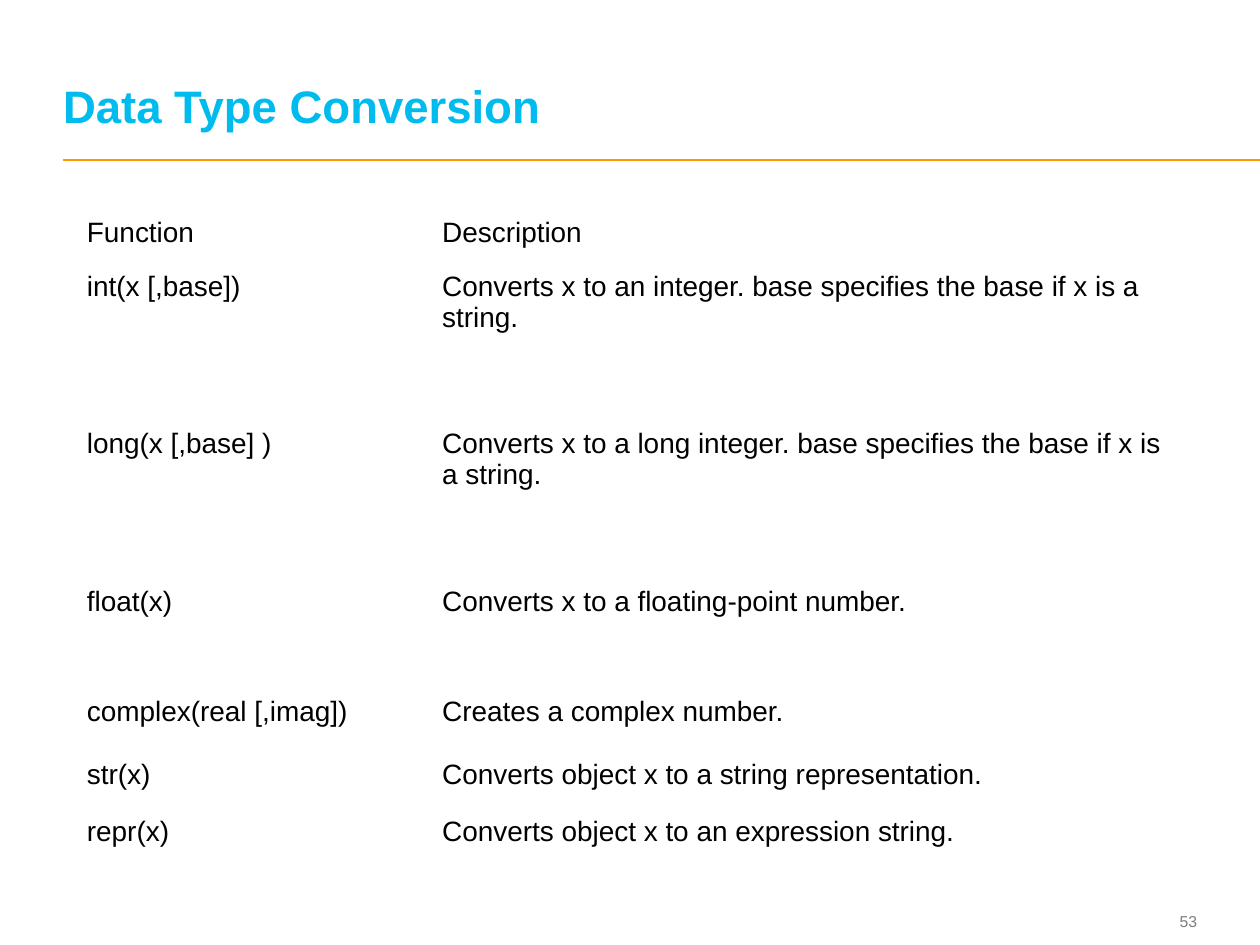
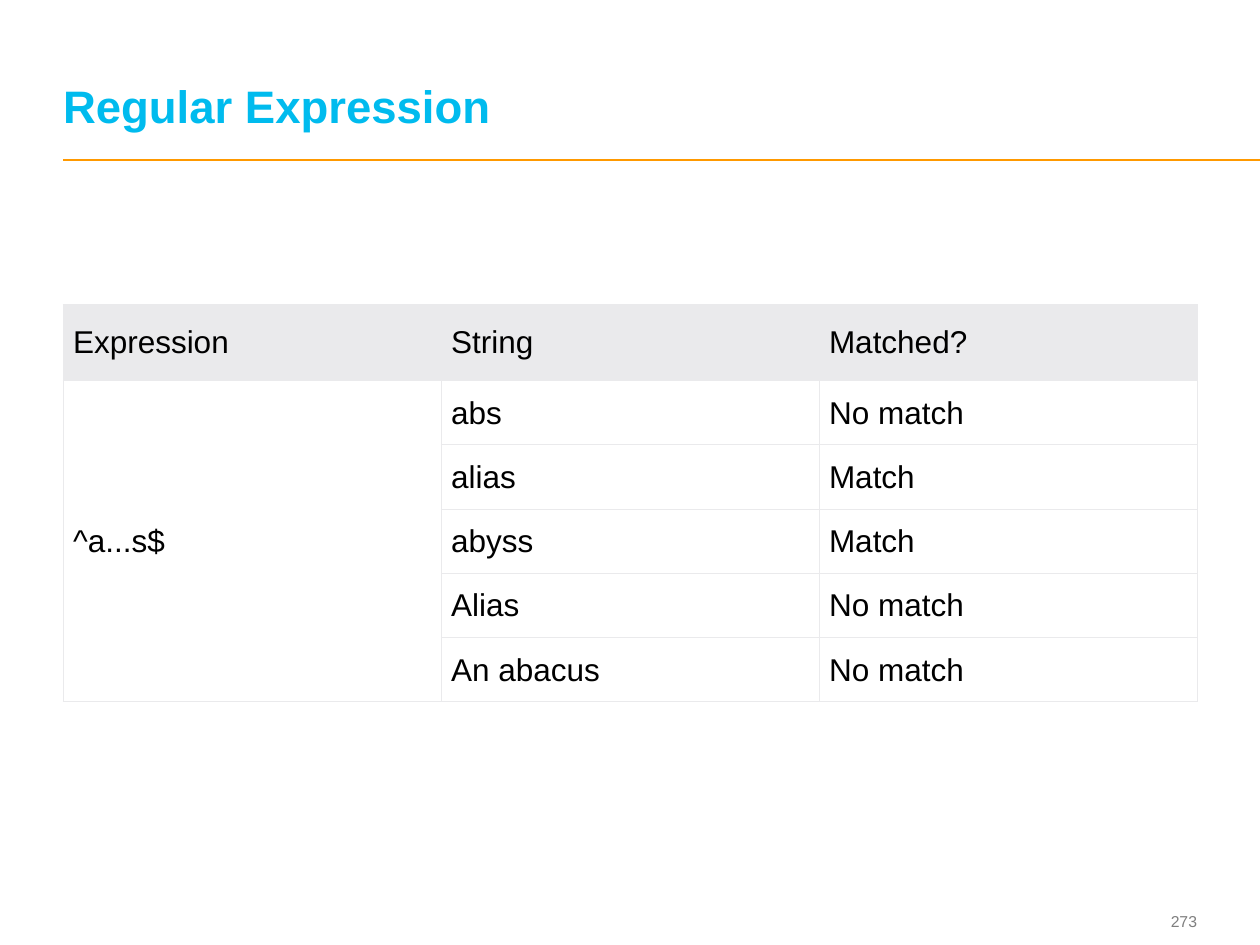
from lxml import etree
from pptx import Presentation
from pptx.dml.color import RGBColor
from pptx.enum.shapes import MSO_CONNECTOR
from pptx.enum.text import MSO_ANCHOR, MSO_AUTO_SIZE, PP_ALIGN
from pptx.oxml import parse_xml
from pptx.oxml.ns import nsdecls, qn
from pptx.util import Inches, Pt

FONT = "Arial"
TITLE_BLUE = "00BBEE"
RULE_ORANGE = "FF9900"
NUMBER_GREY = "7F7F7F"
TABLE_GREY = "EAEAEC"
WHITE = "FFFFFF"
BLACK = "000000"
BORDER_WIDTH = Pt(0.6)


def style_text(text_frame, size, color, margins, anchor, bold=False, align=PP_ALIGN.LEFT):
    text_frame.margin_left, text_frame.margin_top, text_frame.margin_right, text_frame.margin_bottom = (
        Inches(margin) for margin in margins)
    text_frame.vertical_anchor = anchor
    for paragraph in text_frame.paragraphs:
        paragraph.alignment = align
        for run in paragraph.runs:
            run.font.name = FONT
            run.font.size = Pt(size)
            run.font.bold = bold
            run.font.color.rgb = RGBColor.from_string(color)


def add_plain_table(slide, left, top, column_widths, row_heights):
    frame = slide.shapes.add_table(
        len(row_heights), len(column_widths), Inches(left), Inches(top),
        Inches(sum(column_widths)), Inches(sum(row_heights)))
    table = frame.table
    table.first_row = False
    table.horz_banding = False
    for column, width in zip(table.columns, column_widths):
        column.width = Inches(width)
    for row, height in zip(table.rows, row_heights):
        row.height = Inches(height)
    return table


presentation = Presentation()
presentation.slide_width = Inches(10)
presentation.slide_height = Inches(7.5)
title_only = presentation.slide_layouts[5]

# Shared title, rule and slide number
slides = []
for title_text, number in [("Data Type Conversion", "53"), ("Regular Expression", "273")]:
    slide = presentation.slides.add_slide(title_only)
    slides.append(slide)

    rule = slide.shapes.add_connector(
        MSO_CONNECTOR.STRAIGHT, Inches(0.5), Inches(1.27), Inches(10), Inches(1.27))
    rule.line.color.rgb = RGBColor.from_string(RULE_ORANGE)
    rule.line.width = Pt(1)
    etree.SubElement(rule._element.spPr, qn("a:effectLst"))

    number_box = slide.shapes.add_textbox(Inches(8.91), Inches(7.18), Inches(0.59), Inches(0.27))
    number_box.text_frame.word_wrap = True
    number_box.text_frame.text = number
    style_text(number_box.text_frame, 9, NUMBER_GREY, (0, 0, 0, 0), MSO_ANCHOR.MIDDLE,
               align=PP_ALIGN.RIGHT)

    title = slide.shapes.title
    title.left, title.top = Inches(0.5), Inches(0.19)
    title.width, title.height = Inches(8.97), Inches(0.86)
    title.text_frame.text = title_text
    title.text_frame.auto_size = MSO_AUTO_SIZE.NONE
    title.text_frame.paragraphs[0].line_spacing = Pt(26)
    style_text(title.text_frame, 26, TITLE_BLUE, (0, 0, 0, 0), MSO_ANCHOR.BOTTOM, bold=True)

conversion_slide, expression_slide = slides

# Conversion functions
conversions = [
    ("Function", "Description"),
    ("int(x [,base])", "Converts x to an integer. base specifies the base if x is a string."),
    ("long(x [,base] )", "Converts x to a long integer. base specifies the base if x is a string."),
    ("float(x)", "Converts x to a floating-point number."),
    ("complex(real [,imag])", "Creates a complex number."),
    ("str(x)", "Converts object x to a string representation."),
    ("repr(x)", "Converts object x to an expression string."),
]
conversion_table = add_plain_table(
    conversion_slide, 0.6, 1.6, [2.82, 5.92], [0.5, 1.25, 1.25, 0.88, 0.5, 0.45, 0.88])
for row_index, texts in enumerate(conversions):
    anchor = MSO_ANCHOR.MIDDLE if row_index == 0 else MSO_ANCHOR.TOP
    for column_index, text in enumerate(texts):
        cell = conversion_table.cell(row_index, column_index)
        cell.fill.background()
        cell.text_frame.text = text
        style_text(cell.text_frame, 16, BLACK, (0.09, 0.05, 0.09, 0.05), anchor)
        # Cell margins and anchor belong to the cell itself
        cell.margin_left = cell.margin_right = Inches(0.09)
        cell.margin_top = cell.margin_bottom = Inches(0.05)
        cell.vertical_anchor = anchor

# Pattern matches
matches = [
    ("Expression", "String", "Matched?"),
    ("^a...s$", "abs", "No match"),
    ("", "alias", "Match"),
    ("", "abyss", "Match"),
    ("", "Alias", "No match"),
    ("", "An abacus", "No match"),
]
match_table = add_plain_table(expression_slide, 0.5, 2.42, [3] * 3, [0.6] + [0.51] * 5)
for row_index, texts in enumerate(matches):
    is_header = row_index == 0
    margin_top, margin_bottom = (0.12, 0.12) if is_header else (0.08, 0.07)
    for column_index, text in enumerate(texts):
        cell = match_table.cell(row_index, column_index)
        cell.fill.solid()
        cell.fill.fore_color.rgb = RGBColor.from_string(TABLE_GREY if is_header else WHITE)
        cell.text_frame.text = text
        style_text(cell.text_frame, 18, BLACK, (0.08, margin_top, 0.07, margin_bottom),
                   MSO_ANCHOR.MIDDLE)
        cell.margin_left, cell.margin_right = Inches(0.08), Inches(0.07)
        cell.margin_top, cell.margin_bottom = Inches(margin_top), Inches(margin_bottom)
        cell.vertical_anchor = MSO_ANCHOR.MIDDLE
        cell_properties = cell._tc.get_or_add_tcPr()
        for position, side in enumerate(("lnL", "lnR", "lnT", "lnB")):
            cell_properties.insert(position, parse_xml(
                f'<a:{side} {nsdecls("a")} w="{BORDER_WIDTH}"><a:solidFill>'
                f'<a:srgbClr val="{TABLE_GREY}"/></a:solidFill></a:{side}>'))
match_table.cell(1, 0).merge(match_table.cell(5, 0))

presentation.save("out.pptx")
